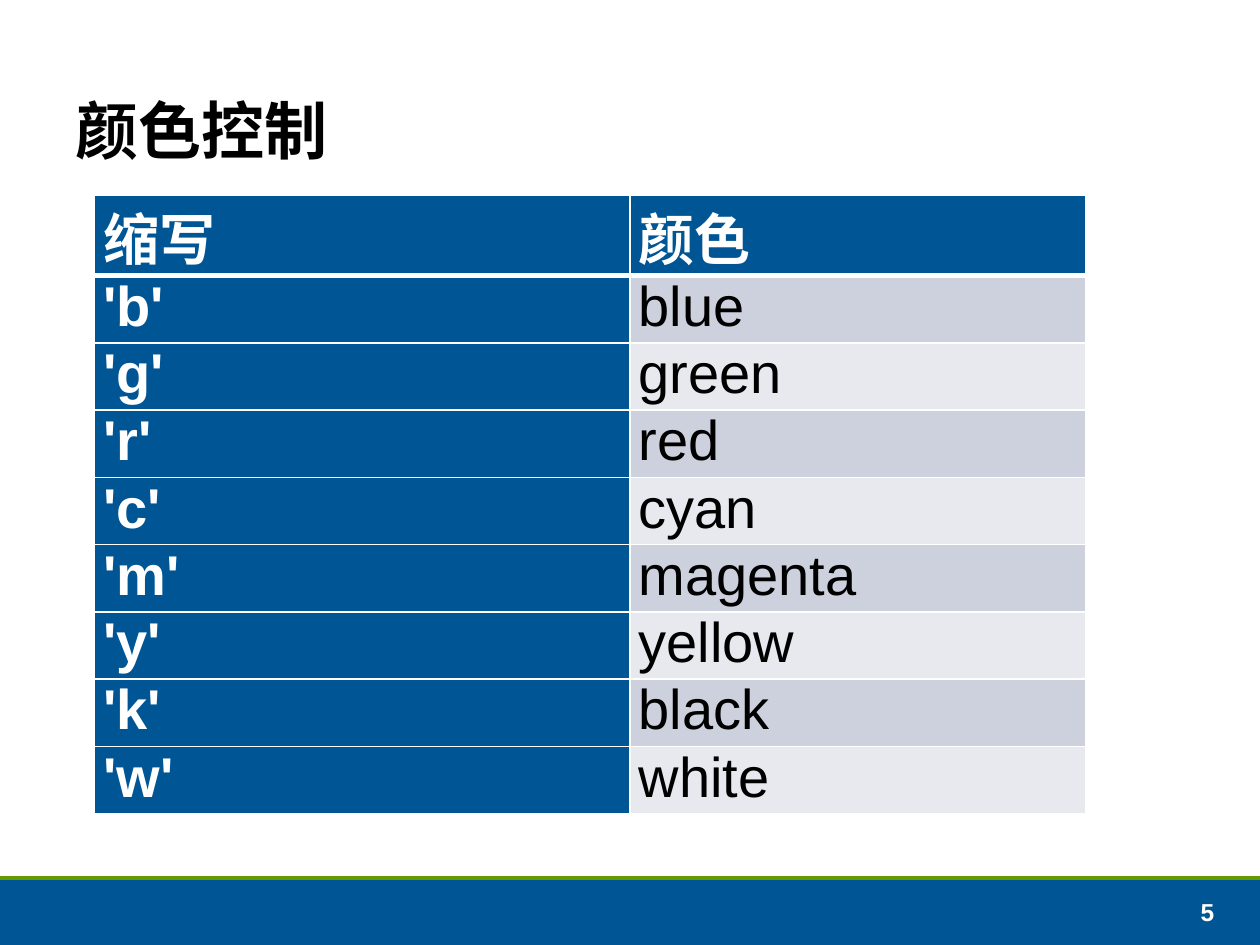
from dataclasses import dataclass

from lxml import etree
from pptx import Presentation
from pptx.dml.color import RGBColor
from pptx.enum.shapes import MSO_CONNECTOR, MSO_SHAPE
from pptx.enum.text import MSO_ANCHOR
from pptx.oxml.ns import qn
from pptx.util import Inches, Pt


@dataclass(frozen=True)
class Theme:
    font: str = "Arial"
    blue: str = "005595"
    green: str = "669900"
    white: str = "FFFFFF"
    black: str = "000000"
    bands: tuple = ("CCD1DD", "E7E9EF")
    title_size: int = 36
    table_size: int = 32
    number_size: int = 14
    thin: int = 1
    thick: int = 3


THEME = Theme()
WIDTH, HEIGHT = Inches(10), Inches(7.5)
HEADER_SHARE = 0.13
ROWS = [
    ("缩写", "颜色"),
    ("'b'", "blue"),
    ("'g'", "green"),
    ("'r'", "red"),
    ("'c'", "cyan"),
    ("'m'", "magenta"),
    ("'y'", "yellow"),
    ("'k'", "black"),
    ("'w'", "white"),
]


def rgb(value):
    return RGBColor.from_string(value)


def add_run(p, text, size, color, bold=True):
    r = p.add_run()
    r.text = text
    r.font.name = THEME.font
    r.font.size = Pt(size)
    r.font.bold = bold
    r.font.color.rgb = rgb(color)


def add_text(slide, box, text, size, color, wrap=True):
    """Add a one-line text box whose text stands on the bottom of the box."""
    tf = slide.shapes.add_textbox(*box).text_frame
    tf.word_wrap = wrap
    tf.vertical_anchor = MSO_ANCHOR.BOTTOM
    p = tf.paragraphs[0]
    add_run(p, text, size, color)
    return p


def add_title(slide, box, text):
    p = add_text(slide, box, text, THEME.title_size, THEME.black)
    p.line_spacing = 0.95


def set_borders(cell, top, bottom):
    """Draw white borders; they must come before the fill in the cell's XML."""
    tc_pr = cell._tc.get_or_add_tcPr()
    widths = {"lnL": THEME.thin, "lnR": THEME.thin, "lnT": top, "lnB": bottom}
    for i, (tag, width) in enumerate(widths.items()):
        ln = etree.Element(qn(f"a:{tag}"), w=str(Pt(width)))
        fill = etree.SubElement(ln, qn("a:solidFill"))
        etree.SubElement(fill, qn("a:srgbClr"), val=THEME.white)
        tc_pr.insert(i, ln)


def add_color_table(slide, box, rows, shares):
    """Add the table; its header row is taller to hold the Chinese headings."""
    left, top, width, height = box
    table = slide.shapes.add_table(len(rows), len(shares), *box).table
    for col, share in zip(table.columns, shares):
        col.width = int(width * share)
    header_height = int(height * HEADER_SHARE)
    body_height = (height - header_height) // (len(rows) - 1)
    for i, values in enumerate(rows):
        table.rows[i].height = header_height if i == 0 else body_height
        for j, text in enumerate(values):
            cell = table.cell(i, j)
            is_head = i == 0 or j == 0
            cell.margin_left = cell.margin_right = Inches(0.07)
            cell.margin_top = cell.margin_bottom = 0
            cell.fill.solid()
            cell.fill.fore_color.rgb = rgb(
                THEME.blue if is_head else THEME.bands[(i - 1) % 2])
            set_borders(cell,
                        top=THEME.thick if i == 1 else THEME.thin,
                        bottom=THEME.thick if i == 0 else THEME.thin)
            add_run(cell.text_frame.paragraphs[0], text, THEME.table_size,
                    THEME.white if is_head else THEME.black, is_head)


def add_footer(slide, box, number):
    left, top, width, height = box
    band = slide.shapes.add_shape(MSO_SHAPE.RECTANGLE, *box)
    band.shadow.inherit = False
    band.fill.solid()
    band.fill.fore_color.rgb = rgb(THEME.blue)
    band.line.fill.background()

    rule = slide.shapes.add_connector(
        MSO_CONNECTOR.STRAIGHT, left, top, left + width, top)
    rule.line.color.rgb = rgb(THEME.green)
    rule.line.width = Pt(2)
    etree.SubElement(rule._element.spPr, qn("a:effectLst"))

    number_box = (left + int(width * 0.943), top + int(height * 0.17),
                  int(width * 0.053), int(height * 0.64))
    add_text(slide, number_box, number, THEME.number_size, THEME.white,
             wrap=False)


def main():
    prs = Presentation()
    prs.slide_width, prs.slide_height = WIDTH, HEIGHT
    slide = prs.slides.add_slide(prs.slide_layouts[6])

    footer_top = Inches(6.97)
    add_footer(slide, (0, footer_top, WIDTH, HEIGHT - footer_top), "5")
    add_title(slide, (int(WIDTH * 0.05), Inches(0.17),
                      int(WIDTH * 0.9), Inches(1.22)), "颜色控制")
    add_color_table(slide, (Inches(0.75), Inches(1.55),
                            Inches(7.87), Inches(4.9)), ROWS, (0.54, 0.46))
    prs.save("out.pptx")


if __name__ == "__main__":
    main()
